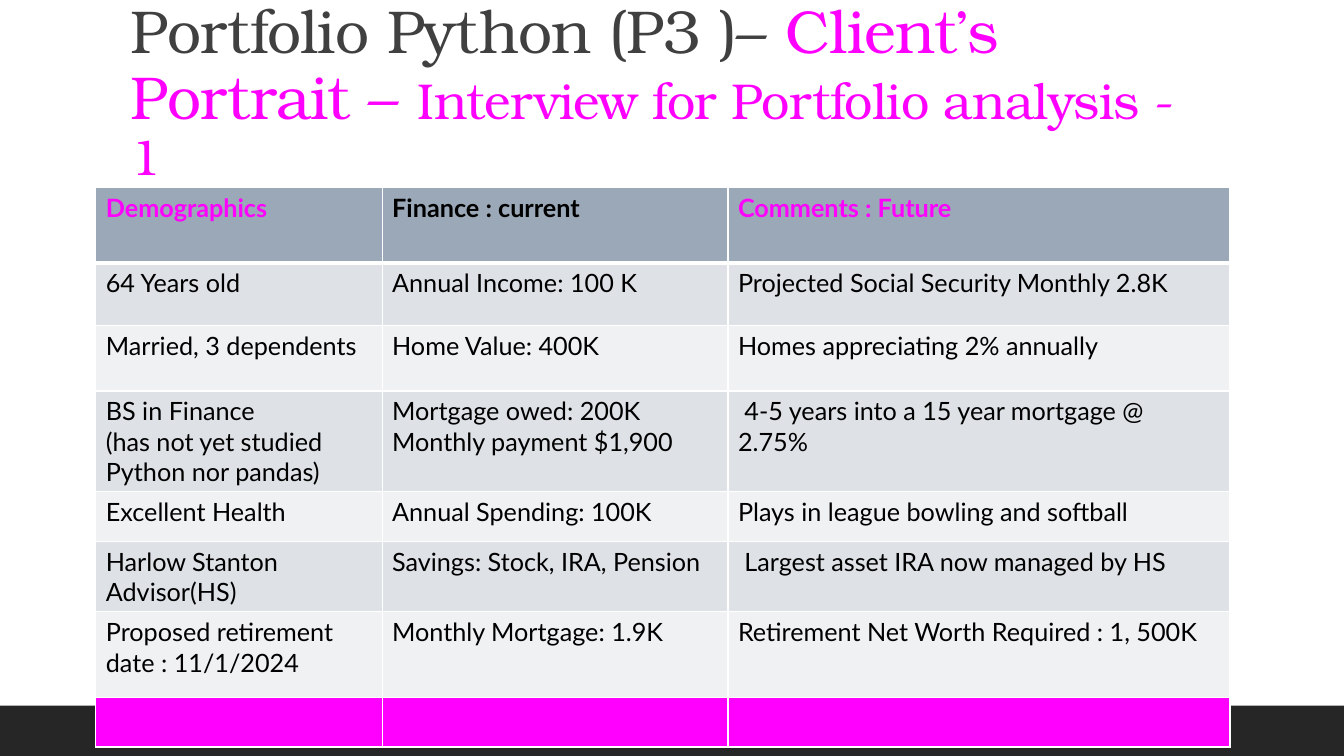
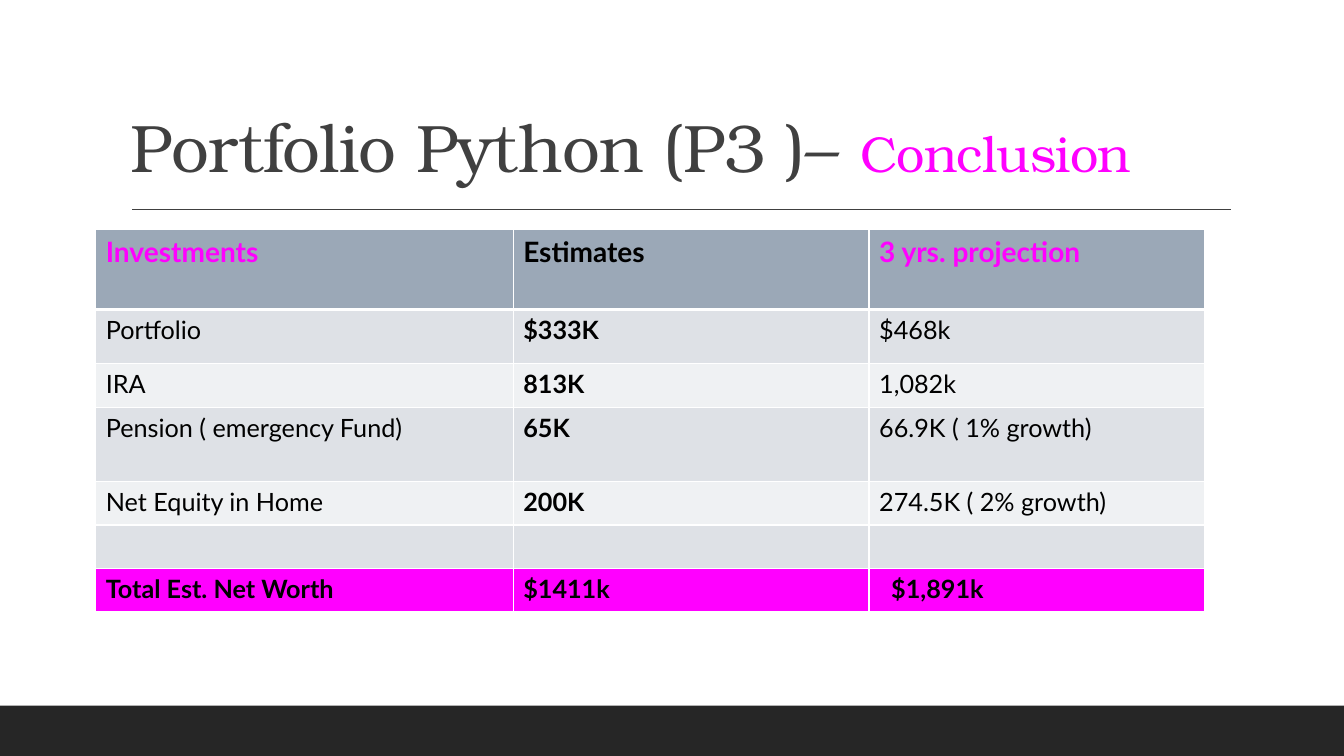
from dataclasses import dataclass

from pptx import Presentation
from pptx.dml.color import RGBColor
from pptx.enum.shapes import MSO_CONNECTOR, MSO_SHAPE
from pptx.enum.text import MSO_ANCHOR
from pptx.oxml.xmlchemy import OxmlElement
from pptx.util import Emu, Pt


@dataclass(frozen=True)
class Theme:
    serif: str = "TeX Gyre Bonum"
    sans: str = "Lato"
    white: str = "FFFFFF"
    black: str = "000000"
    dark: str = "262626"
    gray: str = "404040"
    pink: str = "FF00FF"
    head: str = "9BA8B7"
    odd: str = "DEE1E6"
    even: str = "EFF1F3"
    body: float = 18
    sub: float = 36
    thin: float = 1
    thick: float = 3


LOOK = Theme()
SCALE = 9144
WIDE, HIGH = 1333, 750


def px(num):
    return Emu(num * SCALE)


def box(*nums):
    return [px(num) for num in nums]


def rgb(code):
    return RGBColor.from_string(code)


def apply(item, style):
    for name, value in style.items():
        setattr(item, name, value)


def paint(fill, code):
    fill.solid()
    fill.fore_color.rgb = rgb(code)


def write(par, text, face, size, code, bold=False):
    run = par.add_run()
    run.text = text
    apply(run.font, {"name": face, "size": Pt(size), "bold": bold})
    run.font.color.rgb = rgb(code)
    return run


def edge(cell, side, width):
    line = OxmlElement(f"a:ln{side}")
    line.set("w", str(Pt(width)))
    fill = OxmlElement("a:solidFill")
    tone = OxmlElement("a:srgbClr")
    tone.set("val", LOOK.white)
    fill.append(tone)
    line.append(fill)
    cell._tc.get_or_add_tcPr().append(line)


def add_frame(slide, left, top, width, height):
    band = slide.shapes.add_shape(
        MSO_SHAPE.RECTANGLE, *box(left, top + height - 50, width, 50))
    band.shadow.inherit = False
    paint(band.fill, LOOK.dark)
    band.line.fill.background()
    rule = slide.shapes.add_connector(
        MSO_CONNECTOR.STRAIGHT,
        *box(left + 131, top + 208, left + 1221, top + 208))
    rule.line.width = Pt(LOOK.thin)
    rule.line.color.rgb = rgb(LOOK.gray)
    rule._element.spPr.append(OxmlElement("a:effectLst"))


def add_title(slide, place, parts):
    frame = slide.shapes.add_textbox(*box(*place)).text_frame
    apply(frame, {"word_wrap": True, "vertical_anchor": MSO_ANCHOR.BOTTOM})
    par = frame.paragraphs[0]
    par.line_spacing = 0.9
    for text, size, code in parts:
        run = write(par, text, LOOK.serif, size, code)
        run._r.get_or_add_rPr().set("spc", "-50")


def add_grid(slide, left, top, cols, highs, rows, size, strong):
    grid = slide.shapes.add_table(
        len(rows), len(cols),
        *box(left, top, sum(cols), sum(highs))).table
    apply(grid, {"first_row": False, "horz_banding": False})
    for col, width in zip(grid.columns, cols):
        col.width = px(width)
    for row, high in zip(grid.rows, highs):
        row.height = px(high)
    last = len(rows) - 1
    for i, row in enumerate(rows):
        tone = {0: LOOK.head, last: LOOK.pink}.get(
            i, LOOK.odd if i % 2 else LOOK.even)
        for j, text in enumerate(row):
            cell = grid.cell(i, j)
            for side in "LRTB":
                heavy = (i, side) in ((0, "B"), (1, "T"))
                edge(cell, side, LOOK.thick if heavy else LOOK.thin)
            paint(cell.fill, tone)
            ink = LOOK.pink if i == 0 and j != 1 else LOOK.black
            bold = i in (0, last) or j in strong
            for k, line in enumerate(text.split("\n") if text else []):
                frame = cell.text_frame
                par = frame.add_paragraph() if k else frame.paragraphs[0]
                write(par, line, LOOK.sans, LOOK.body if i else size, ink, bold)
    return grid


PAGES = [
    {
        "title": [
            ("Portfolio Python (P3 )– ", 43.2, LOOK.gray),
            ("Client’s Portrait – ", 43.2, LOOK.pink),
            ("Interview for Portfolio analysis - 1", LOOK.sub, LOOK.pink),
        ],
        "grid": {
            "left": 95, "top": 186, "size": 18, "strong": (),
            "cols": [284, 343, 498],
            "highs": [75, 62, 65, 85, 49, 49, 85, 49],
            "rows": [
                ("Demographics", "Finance : current", "Comments : Future"),
                ("64 Years old", "Annual Income: 100 K",
                 "Projected Social Security Monthly 2.8K"),
                ("Married, 3 dependents", "Home Value: 400K",
                 "Homes appreciating 2% annually"),
                ("BS in Finance\n(has not yet studied Python nor pandas)",
                 "Mortgage owed: 200K\nMonthly payment $1,900",
                 " 4-5 years into a 15 year mortgage @ 2.75%"),
                ("Excellent Health", "Annual Spending: 100K",
                 "Plays in league bowling and softball"),
                ("Harlow Stanton Advisor(HS)", "Savings: Stock, IRA, Pension",
                 " Largest asset IRA now managed by HS"),
                ("Proposed retirement date : 11/1/2024",
                 "Monthly Mortgage: 1.9K",
                 "Retirement Net Worth Required : 1, 500K"),
                ("", "", ""),
            ],
        },
    },
    {
        "title": [
            ("Portfolio Python (P3 )– ", 48, LOOK.gray),
            ("Conclusion", LOOK.sub, LOOK.pink),
            (" ", 47, LOOK.pink),
        ],
        "grid": {
            "left": 95, "top": 228, "size": 20, "strong": (1,),
            "cols": [414, 353, 333],
            "highs": [79, 54, 43, 74, 43, 43, 43],
            "rows": [
                ("Investments", "Estimates", "3 yrs. projection"),
                ("Portfolio", "$333K", "$468k"),
                ("IRA", "813K", "1,082k"),
                ("Pension ( emergency Fund)", "65K", "66.9K ( 1% growth)"),
                ("Net Equity in Home", "200K", "274.5K ( 2% growth)"),
                ("", "", ""),
                ("Total Est. Net Worth", "$1411k", "$1,891k"),
            ],
        },
        "inset": (6, 2, 22),
    },
]


def add_page(deck, page):
    slide = deck.slides.add_slide(deck.slide_layouts[6])
    add_frame(slide, 0, 0, WIDE, HIGH)
    add_title(slide, (120, 31, 1100, 159), page["title"])
    grid = add_grid(slide, **page["grid"])
    if "inset" in page:
        row, col, gap = page["inset"]
        grid.cell(row, col).margin_left = px(gap)


def main():
    deck = Presentation()
    apply(deck, {"slide_width": px(WIDE), "slide_height": px(HIGH)})
    for page in PAGES:
        add_page(deck, page)
    deck.save("out.pptx")


if __name__ == "__main__":
    main()
